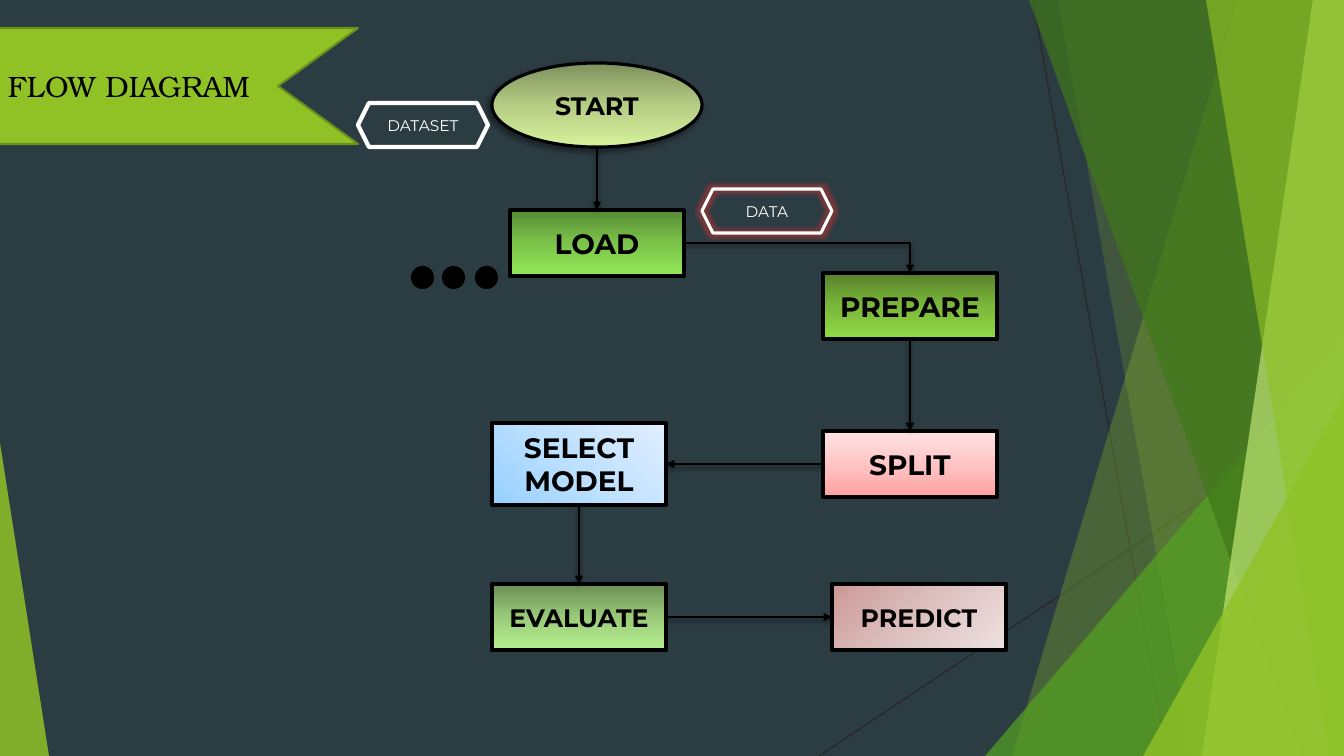
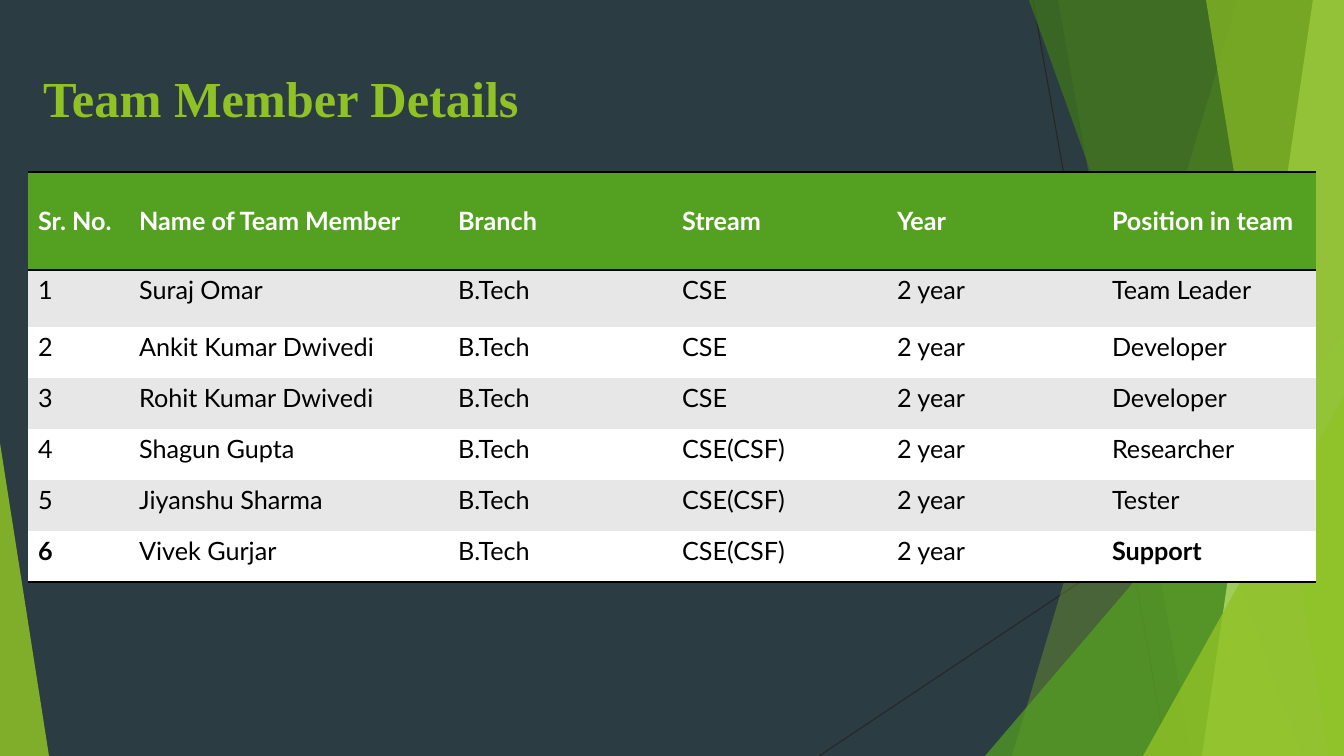
from collections import namedtuple
from copy import deepcopy

from lxml.etree import SubElement
from pptx import Presentation
from pptx.dml.color import RGBColor
from pptx.enum.shapes import MSO_CONNECTOR, MSO_SHAPE
from pptx.enum.text import MSO_ANCHOR, PP_ALIGN
from pptx.oxml import parse_xml
from pptx.oxml.ns import nsdecls, qn
from pptx.util import Pt

EMU_PER_PIXEL = 12192000 / 1344
Box = namedtuple("Box", "left top width height")
PAGE = Box(0, 0, 1344, 756)

BLACK = RGBColor(0x00, 0x00, 0x00)
WHITE = RGBColor(0xFF, 0xFF, 0xFF)
SLATE = RGBColor(0x2C, 0x3C, 0x43)
CHARCOAL = RGBColor(0x26, 0x26, 0x26)
LIME = RGBColor(0x90, 0xC2, 0x26)
LIME_EDGE = RGBColor(0x6B, 0x90, 0x1C)
PALE_LIME = RGBColor(0xC0, 0xE4, 0x74)
GREEN = RGBColor(0x54, 0xA0, 0x21)
FOREST = RGBColor(0x3F, 0x78, 0x19)
BAND_GRAY = RGBColor(0xE7, 0xE7, 0xE7)
GLOW_RED = RGBColor(0xE0, 0x32, 0x2D)

FLOW_FONT = "Montserrat"
RIBBON_FONT = "TeX Gyre Bonum"
TITLE_FONT = "Times New Roman"
TABLE_FONT = "Lato"

TOP, LEFT, BOTTOM, RIGHT = range(4)
OVAL_BOTTOM = 4
PLAIN_TABLE_STYLE = "{2D5ABB26-0587-4C30-8999-92F81FD0307C}"


def emu(pixels):
    return round(pixels * EMU_PER_PIXEL)


def within(region, left, top, width, height):
    return Box(region.left + left, region.top + top, width, height)


def place(box):
    return [emu(length) for length in box]


def set_fill(shape, color, opacity=100):
    shape.fill.solid()
    shape.fill.fore_color.rgb = color
    if opacity < 100:
        node = shape._element.spPr.find(qn("a:solidFill")).find(qn("a:srgbClr"))
        SubElement(node, qn("a:alpha"), val=str(opacity * 1000))


def set_gradient(shape, colors, angle):
    shape.fill.gradient()
    stops = shape._element.spPr.find(qn("a:gradFill")).find(qn("a:gsLst"))
    stops.insert(1, deepcopy(stops[0]))
    for stop, position, color in zip(shape.fill.gradient_stops, (0, 0.5, 1), colors):
        stop.position = position
        stop.color.rgb = RGBColor.from_string(color)
    shape.fill.gradient_angle = (360 - angle) % 360


def set_line(shape, color=None, width=1):
    if color is None:
        shape.line.fill.background()
    else:
        shape.line.color.rgb = color
        shape.line.width = Pt(width)


def add_effect(shape, kind, color, opacity, **lengths):
    properties = shape._element.spPr
    effects = properties.find(qn("a:effectLst"))
    effect = SubElement(effects, qn(f"a:{kind}"),
                        **{name: str(value) for name, value in lengths.items()})
    node = SubElement(effect, qn("a:srgbClr"), val=str(color))
    SubElement(node, qn("a:alpha"), val=str(opacity * 1000))


def format_text(paragraph, font_name, size, color, bold=False, align=PP_ALIGN.LEFT):
    paragraph.alignment = align
    for run in paragraph.runs:
        run.font.name = font_name
        run.font.size = Pt(size)
        run.font.bold = bold
        run.font.color.rgb = color


def add_preset(slide, kind, box):
    shape = slide.shapes.add_shape(kind, *place(box))
    shape.shadow.inherit = False
    return shape


def add_outline(slide, region, points):
    corners = [(region.left + x, region.top + y) for x, y in points]
    builder = slide.shapes.build_freeform(*corners[0], scale=EMU_PER_PIXEL)
    builder.add_line_segments(corners[1:], close=True)
    shape = builder.convert_to_shape()
    shape.shadow.inherit = False
    return shape


def add_line(slide, start, end, color, width, kind=MSO_CONNECTOR.STRAIGHT):
    ends = [emu(length) for length in (*start, *end)]
    connector = slide.shapes.add_connector(kind, *ends)
    set_line(connector, color, width)
    SubElement(connector._element.spPr, qn("a:effectLst"))
    return connector


def draw_backdrop(slide, region):
    left, top, width, height = region
    for start, end in (((1033, 0), (1167, height)), ((width, 406), (819, height))):
        add_line(slide, (left + start[0], top + start[1]),
                 (left + end[0], top + end[1]), CHARCOAL, 0.75)

    def add_blade(upper, lower, color, opacity):
        blade = add_outline(slide, region, [(upper, 0), (width, 0),
                                            (width, height), (lower, height)])
        set_fill(blade, color, opacity)
        set_line(blade)

    def add_wedge(wedge_left, wedge_top, wedge_width, peak, color, opacity):
        wedge = add_preset(slide, MSO_SHAPE.ISOSCELES_TRIANGLE,
                           within(region, wedge_left, wedge_top, wedge_width,
                                  height - wedge_top))
        wedge.adjustments[0] = peak
        set_fill(wedge, color, opacity)
        set_line(wedge)

    add_blade(1238, 1012, LIME, 30)
    add_blade(1058, 1192, LIME, 20)
    add_wedge(985, 336, 359, 1, GREEN, 72)
    add_blade(1029, 1301, FOREST, 70)
    add_blade(1313, 1202, PALE_LIME, 70)
    add_blade(1206, 1329, LIME, 65)
    add_wedge(1143, 396, 201, 1, LIME, 80)
    add_wedge(0, 443, 49, 0, LIME, 85)


def add_step(slide, box, text, size, colors, angle, kind=MSO_SHAPE.RECTANGLE, border=3):
    step = add_preset(slide, kind, box)
    set_gradient(step, colors, angle)
    set_line(step, BLACK, border)
    step.text_frame.text = text
    step.text_frame.word_wrap = True
    step.text_frame.vertical_anchor = MSO_ANCHOR.MIDDLE
    format_text(step.text_frame.paragraphs[0], FLOW_FONT, size, BLACK, True, PP_ALIGN.CENTER)
    return step


def add_label(slide, box, text, border):
    label = add_preset(slide, MSO_SHAPE.HEXAGON, box)
    label.fill.background()
    set_line(label, WHITE, border)
    label.text_frame.text = text
    label.text_frame.vertical_anchor = MSO_ANCHOR.MIDDLE
    format_text(label.text_frame.paragraphs[0], FLOW_FONT, 11, WHITE, align=PP_ALIGN.CENTER)
    return label


def add_arrow(slide, source, source_side, target, target_side):
    bent = source_side == RIGHT and target_side == TOP
    kind = MSO_CONNECTOR.ELBOW if bent else MSO_CONNECTOR.STRAIGHT
    arrow = add_line(slide, (0, 0), (0, 0), BLACK, 2, kind)
    arrow.begin_connect(source, source_side)
    arrow.end_connect(target, target_side)
    if source.auto_shape_type == MSO_SHAPE.OVAL:
        arrow._element.find(".//" + qn("a:stCxn")).set("idx", str(OVAL_BOTTOM))
    properties = arrow._element.spPr
    if bent:
        properties.find(qn("a:prstGeom")).set("prst", "bentConnector2")
    SubElement(properties.find(qn("a:ln")), qn("a:tailEnd"), type="triangle")
    add_effect(arrow, "outerShdw", BLACK, 35, blurRad=Pt(3), dist=Pt(2), dir=5400000)


def draw_ribbon(slide, region, text):
    width, height, notch = region.width, region.height, 80
    ribbon = add_outline(slide, region, [(0, 0), (width, 0), (width - notch, height / 2),
                                         (width, height), (0, height)])
    set_fill(ribbon, LIME)
    set_line(ribbon, LIME_EDGE, 1.5)
    ribbon.text_frame.text = text
    ribbon.text_frame.word_wrap = True
    ribbon.text_frame.vertical_anchor = MSO_ANCHOR.MIDDLE
    format_text(ribbon.text_frame.paragraphs[0], RIBBON_FONT, 21, BLACK)


def draw_flow(slide, region):
    step_width, step_height = 174, 66
    middle, right = 134, 465

    def step_box(left, top, height=step_height):
        return within(region, left, top, step_width, height)

    start = add_step(slide, within(region, middle, 0, 210, 84), "START", 18,
                     ("7F905D", "B5CC84", "D7F29C"), 90, MSO_SHAPE.OVAL, 2.25)
    add_effect(start, "outerShdw", BLACK, 40, blurRad=Pt(4), dist=Pt(3), dir=8100000)
    add_label(slide, within(region, 0, 40, 130, 44), "DATASET", 3)
    load = add_step(slide, step_box(152, 147), "LOAD", 20,
                    ("568934", "7BC34A", "92E858"), 90)
    prepare = add_step(slide, step_box(right, 210), "PREPARE", 20,
                       ("57812A", "7BB73B", "92DA46"), 90)
    split = add_step(slide, step_box(right, 368), "SPLIT", 20,
                     ("FFA0A0", "FFC5C5", "FFE3E3"), 270)
    select = add_step(slide, step_box(middle, 360, 82), "SELECT MODEL", 20,
                      ("96D0FF", "BFE1FF", "E0EFFF"), 315)
    predict = add_step(slide, step_box(474, 521), "PREDICT", 18,
                       ("CB9896", "DDC1C0", "EEE1E1"), 45)
    evaluate = add_step(slide, step_box(middle, 521), "EVALUATE", 18,
                        ("6C8E55", "9ACA79", "B6F090"), 90)

    for dot_left in (118, 85, 54):
        dot = add_preset(slide, MSO_SHAPE.OVAL, within(region, dot_left, 204, 21, 21))
        set_fill(dot, BLACK)
        set_line(dot, BLACK, 1.5)

    data = add_label(slide, within(region, 344, 126, 130, 44), "DATA", 2.25)
    add_effect(data, "glow", GLOW_RED, 40, rad=Pt(5))

    for link in ((start, BOTTOM, load, TOP), (load, RIGHT, prepare, TOP),
                 (prepare, BOTTOM, split, TOP), (split, LEFT, select, RIGHT),
                 (select, BOTTOM, evaluate, TOP), (evaluate, RIGHT, predict, LEFT)):
        add_arrow(slide, *link)


def draw_title(slide, region, text):
    title = slide.shapes.add_textbox(*place(region))
    frame = title.text_frame
    frame.text = text
    frame.word_wrap = True
    frame.vertical_anchor = MSO_ANCHOR.BOTTOM
    frame.margin_left = frame.margin_right = frame.margin_top = frame.margin_bottom = 0
    frame.paragraphs[0].line_spacing = 0.9
    format_text(frame.paragraphs[0], TITLE_FONT, 36, LIME, True)


def add_borders(cell, sides):
    for index, side in enumerate(sides):
        border = parse_xml(
            f'<a:ln{side} {nsdecls("a")} w="{Pt(2)}"><a:solidFill>'
            f'<a:srgbClr val="{BLACK}"/></a:solidFill></a:ln{side}>')
        cell._tc.get_or_add_tcPr().insert(index, border)


def draw_table(slide, region, rows, column_widths, row_heights):
    frame = slide.shapes.add_table(len(rows), len(column_widths), *place(region))
    table = frame.table
    table.horz_banding = False
    table._tbl.tblPr.find(qn("a:tableStyleId")).text = PLAIN_TABLE_STYLE
    for column, width in zip(table.columns, column_widths):
        column.width = emu(width)
    last = len(rows) - 1
    for row_index, (values, height) in enumerate(zip(rows, row_heights)):
        table.rows[row_index].height = emu(height)
        header = row_index == 0
        band = GREEN if header else BAND_GRAY if row_index % 2 else WHITE
        for column_index, value in enumerate(values):
            cell = table.cell(row_index, column_index)
            cell.text = value
            cell.fill.solid()
            cell.fill.fore_color.rgb = band
            if header:
                cell.vertical_anchor = MSO_ANCHOR.MIDDLE
            bold = header or value in ("6", "Support")
            format_text(cell.text_frame.paragraphs[0], TABLE_FONT, 18,
                        WHITE if header else BLACK, bold)
            add_borders(cell, "TB" if header else "B" if row_index == last else "")


def build_flow_slide(slide):
    draw_backdrop(slide, PAGE)
    draw_flow(slide, Box(358, 63, 648, 586))
    draw_ribbon(slide, Box(-2, 28, 360, 116), "FLOW DIAGRAM")


def build_team_slide(slide):
    draw_backdrop(slide, PAGE)
    draw_title(slide, Box(43, 60, 730, 68), "Team Member Details")
    members = [("Suraj Omar", "CSE", "Team Leader"),
               ("Ankit Kumar Dwivedi", "CSE", "Developer"),
               ("Rohit Kumar Dwivedi", "CSE", "Developer"),
               ("Shagun Gupta", "CSE(CSF)", "Researcher"),
               ("Jiyanshu Sharma", "CSE(CSF)", "Tester"),
               ("Vivek Gurjar", "CSE(CSF)", "Support")]
    rows = [("Sr. No.", "Name of Team Member", "Branch", "Stream", "Year", "Position in team")]
    rows += [(str(number), name, "B.Tech", stream, "2 year", position)
             for number, (name, stream, position) in enumerate(members, 1)]
    draw_table(slide, Box(28, 172, 1288, 410), rows,
               (101, 319, 224, 215, 215, 214), [98, 57] + [51] * 5)


presentation = Presentation()
presentation.slide_width = emu(PAGE.width)
presentation.slide_height = emu(PAGE.height)
background = presentation.slide_master.background.fill
background.solid()
background.fore_color.rgb = SLATE
blank_layout = presentation.slide_layouts[6]
for build_slide in (build_flow_slide, build_team_slide):
    build_slide(presentation.slides.add_slide(blank_layout))
presentation.save("out.pptx")
